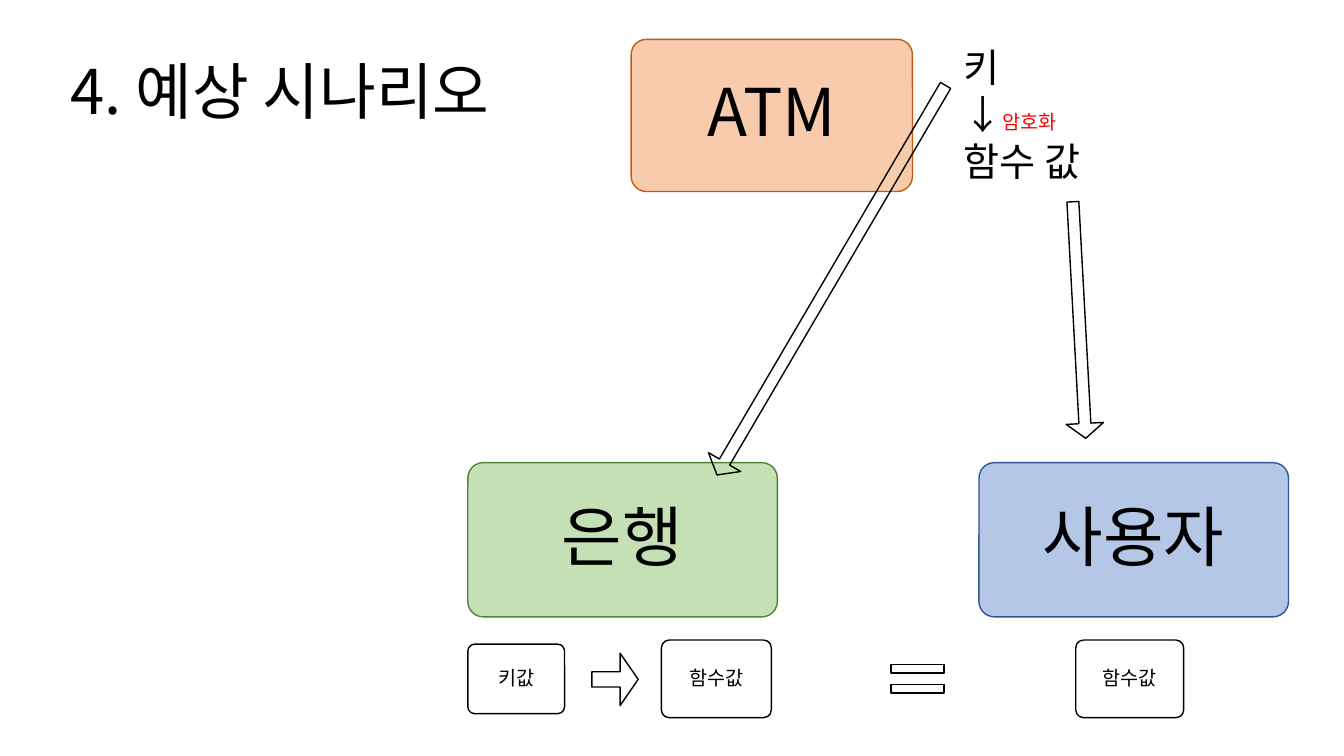
from dataclasses import dataclass

from lxml import etree
from pptx import Presentation
from pptx.dml.color import RGBColor
from pptx.enum.shapes import MSO_SHAPE
from pptx.enum.text import MSO_ANCHOR, PP_ALIGN
from pptx.oxml.ns import qn
from pptx.util import Emu, Pt

ROUNDED = MSO_SHAPE.ROUNDED_RECTANGLE
DOWN_ARROW = MSO_SHAPE.DOWN_ARROW
RIGHT_ARROW = MSO_SHAPE.RIGHT_ARROW
EQUAL = MSO_SHAPE.MATH_EQUAL
LEFT, CENTER = PP_ALIGN.LEFT, PP_ALIGN.CENTER
TOP, MIDDLE = MSO_ANCHOR.TOP, MSO_ANCHOR.MIDDLE

EMU_PER_PX = 9144  # 100 px to the inch


@dataclass(frozen=True)
class Theme:
    font: str = "Noto Sans CJK KR"
    ink: str = "000000"
    paper: str = "FFFFFF"
    accent: str = "FF0000"
    orange: tuple = ("F8CBAD", "C55A11")
    blue: tuple = ("B4C7E7", "2F5597")
    green: tuple = ("C5E0B4", "548235")
    party_size: int = 47
    title_size: int = 44
    step_size: int = 28
    label_size: int = 14
    line_width: int = 1
    corner: float = 0.1


def px(value):
    return Emu(value * EMU_PER_PX)


def write(para, text, *, font, size, color):
    """Add a span whose font also covers Hangul."""
    span = para.add_run()
    span.text = text
    span.font.name = font
    span.font.size = Pt(size)
    span.font.color.rgb = RGBColor.from_string(color)
    east_asian = etree.SubElement(span.font._element, qn("a:ea"))
    east_asian.set("typeface", font)


class Painter:
    def __init__(self, page, theme):
        self.page = page
        self.theme = theme

    def fill_text(self, box, lines, align=LEFT, anchor=TOP, spacing=1.0):
        """Write lines, each a list of (text, size, color) spans."""
        frame = box.text_frame
        frame.word_wrap = True
        frame.vertical_anchor = anchor
        for index, spans in enumerate(lines):
            para = frame.add_paragraph() if index else frame.paragraphs[0]
            para.alignment = align
            para.line_spacing = spacing
            for text, size, color in spans:
                write(para, text, font=self.theme.font, size=size, color=color)

    def text(self, bounds, lines, **layout):
        box = self.page.shapes.add_textbox(*map(px, bounds))
        self.fill_text(box, lines, **layout)

    def shape(self, kind, bounds, adjustments, fill=None, line=None, rotation=0):
        shape = self.page.shapes.add_shape(kind, *map(px, bounds))
        for index, value in enumerate(adjustments):
            shape.adjustments[index] = value
        shape.shadow.inherit = False
        shape.rotation = rotation
        if fill:
            shape.fill.solid()
            shape.fill.fore_color.rgb = RGBColor.from_string(fill)
        else:
            shape.fill.background()
        shape.line.color.rgb = RGBColor.from_string(line or self.theme.ink)
        shape.line.width = Pt(self.theme.line_width)
        return shape

    def card(self, bounds, label, size, colors):
        fill, line = colors
        card = self.shape(ROUNDED, bounds, [self.theme.corner], fill, line)
        self.fill_text(card, [[(label, size, self.theme.ink)]],
                       align=CENTER, anchor=MIDDLE, spacing=0.9)

    def party(self, bounds, label, colors):
        self.card(bounds, label, self.theme.party_size, colors)

    def value(self, bounds, label):
        self.card(bounds, label, self.theme.label_size,
                  (self.theme.paper, self.theme.ink))

    def down_arrow(self, bounds, rotation):
        self.shape(DOWN_ARROW, bounds, [0.32, 0.4], rotation=rotation)


def main():
    deck = Presentation()
    deck.slide_width, deck.slide_height = px(1333), px(750)
    theme = Theme()
    painter = Painter(deck.slides.add_slide(deck.slide_layouts[6]), theme)

    painter.party((626, 39, 279, 151), "ATM", theme.orange)
    painter.party((971, 459, 307, 153), "사용자", theme.blue)
    painter.party((464, 459, 307, 153), "은행", theme.green)
    painter.down_arrow((806, 54, 37, 448), 30.4)

    painter.value((464, 639, 96, 69), "키값")
    painter.value((656, 635, 109, 77), "함수값")
    painter.shape(RIGHT_ARROW, (587, 648, 46, 52), [0.29, 0.39])
    painter.value((1067, 635, 107, 77), "함수값")
    painter.shape(EQUAL, (874, 635, 72, 77), [0.11, 0.15])

    painter.text((946, 38, 242, 161), [
        [("키", theme.step_size, theme.ink)],
        [("↓", theme.step_size, theme.ink),
         ("암호화", theme.label_size, theme.accent)],
        [("함수 값", theme.step_size, theme.ink)],
    ])
    painter.down_arrow((1052, 200, 37, 235), 356.9)
    painter.text((28, 56, 500, 145),
                 [[("4. 예상 시나리오", theme.title_size, theme.ink)]],
                 align=CENTER, spacing=0.9)

    deck.save("out.pptx")


if __name__ == "__main__":
    main()
